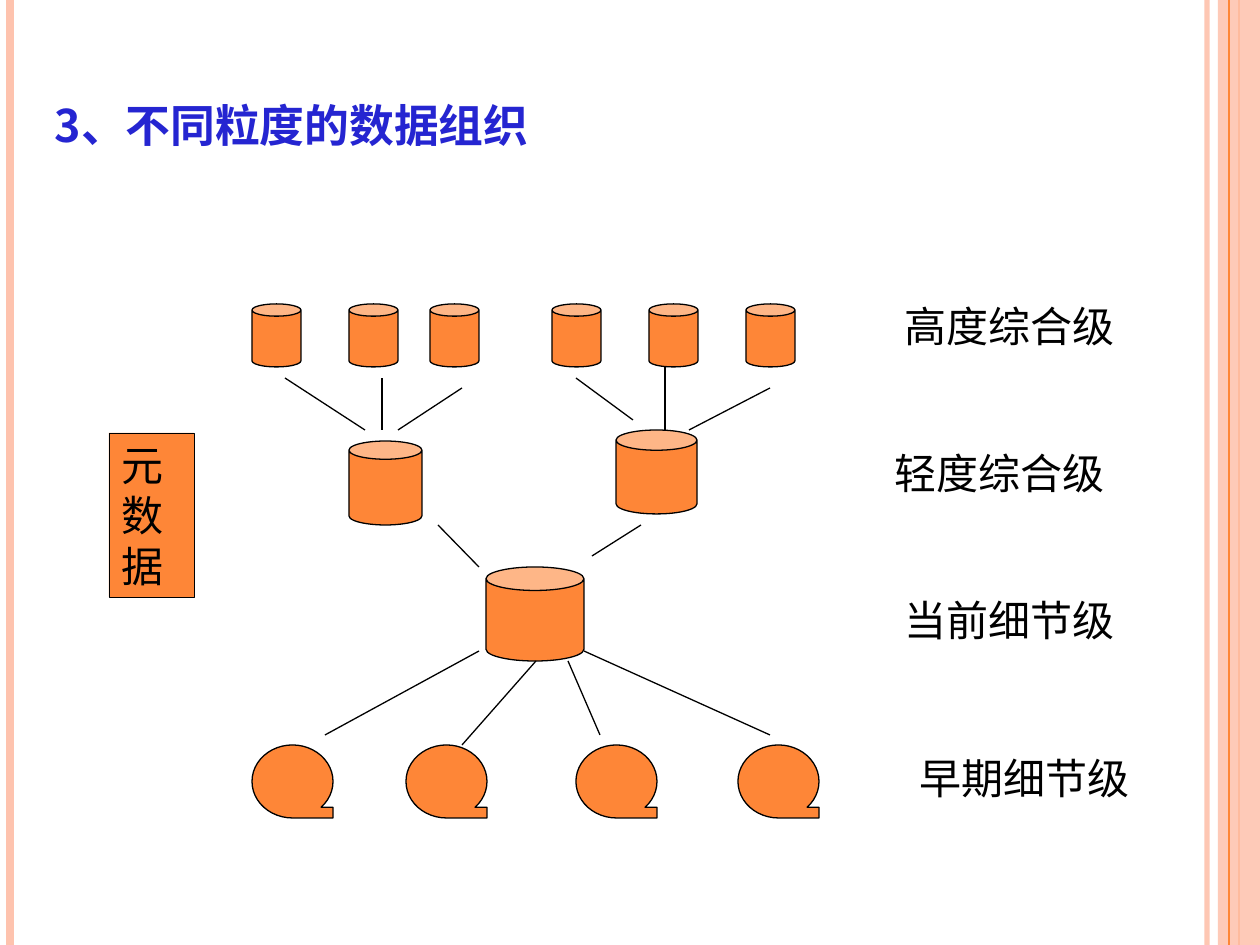
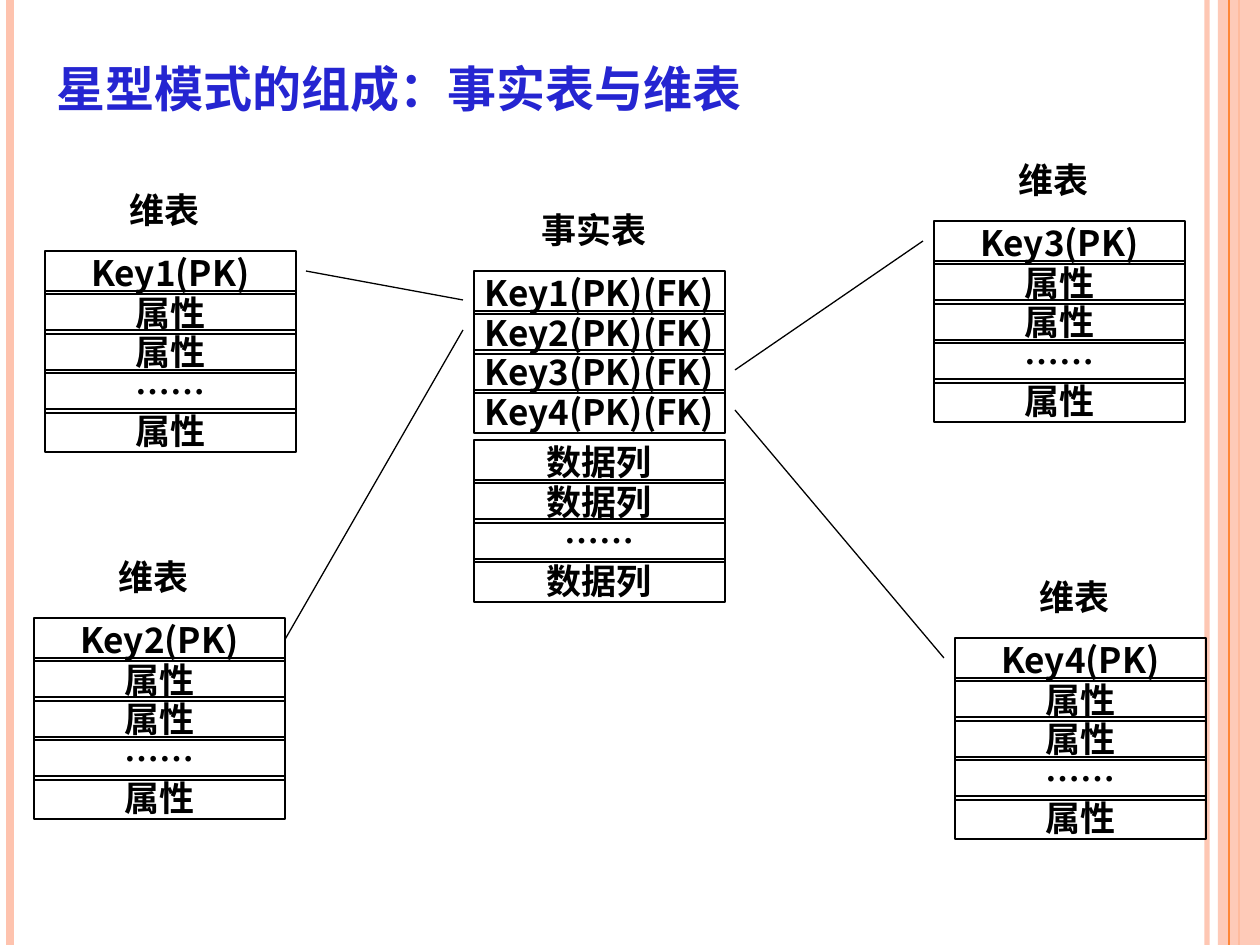
from lxml.etree import SubElement
from pptx import Presentation
from pptx.dml.color import RGBColor
from pptx.enum.shapes import MSO_CONNECTOR, MSO_SHAPE
from pptx.enum.text import MSO_ANCHOR, MSO_AUTO_SIZE, PP_ALIGN
from pptx.oxml.ns import qn
from pptx.util import Pt

EMU_PER_PX = 914400 / 126
WIDTH, HEIGHT = 1260, 945
FONT = "Noto Sans CJK SC"
BLACK, BLUE, ORANGE, PEACH = "000000", "2525D1", "FE8637", "FEC3AE"
ROW_W, ROW_H, ROW_PITCH = 251, 43, 39.6


def px(n):
    return round(n * EMU_PER_PX)


def rgb(color):
    return RGBColor.from_string(color)


def set_alpha(fill_parent, percent):
    color = fill_parent.find(".//" + qn("a:srgbClr"))
    SubElement(color, qn("a:alpha")).set("val", str(percent * 1000))


def format_text(sp, text, size, color=BLACK, bold=False, align=PP_ALIGN.LEFT,
                anchor=MSO_ANCHOR.MIDDLE, spacing=None, inset=None):
    tf = sp.text_frame
    tf.word_wrap = True
    tf.auto_size = MSO_AUTO_SIZE.NONE
    tf.vertical_anchor = anchor
    if inset is not None:
        tf.margin_left = tf.margin_right = tf.margin_top = tf.margin_bottom = px(inset)
    p = tf.paragraphs[0]
    p.text = text
    p.alignment = align
    p.space_before = Pt(0)
    p.line_spacing = spacing
    p.font.size = Pt(size)
    p.font.bold = bold
    p.font.color.rgb = rgb(color)
    p.font.name = FONT
    props = p._p.pPr.find(qn("a:defRPr"))
    SubElement(props, qn("a:ea")).set("typeface", FONT)
    return props


def add_box(slide, kind, x, y, w, h, fill=None, line=BLACK, weight=0.75):
    sp = slide.shapes.add_shape(kind, px(x), px(y), px(w), px(h))
    sp.shadow.inherit = False
    if fill:
        sp.fill.solid()
        sp.fill.fore_color.rgb = rgb(fill)
    else:
        sp.fill.background()
    if line:
        sp.line.color.rgb = rgb(line)
        sp.line.width = Pt(weight)
    else:
        sp.line.fill.background()
    return sp


def add_line(slide, x1, y1, x2, y2, color=BLACK, weight=0.75):
    line = slide.shapes.add_connector(MSO_CONNECTOR.STRAIGHT, px(x1), px(y1), px(x2), px(y2))
    line.line.color.rgb = rgb(color)
    line.line.width = Pt(weight)
    SubElement(line._element.spPr, qn("a:effectLst"))
    return line


def add_label(slide, text, x, y, w, h, size, **style):
    sp = slide.shapes.add_textbox(px(x), px(y), px(w), px(h))
    format_text(sp, text, size, **style)


def add_frame(slide):
    """Draw the vertical rules and the band at the slide's sides."""
    inner = add_line(slide, 1207, 0, 1207, HEIGHT, PEACH, 3)
    set_alpha(inner._element.spPr, 93)
    add_line(slide, 10, 0, 10, HEIGHT, PEACH, 4.5)
    add_line(slide, 1239, 0, 1239, HEIGHT, ORANGE, 1.5)
    band = add_box(slide, MSO_SHAPE.RECTANGLE, 1218, 0, WIDTH - 1218, HEIGHT, PEACH, None)
    set_alpha(band._element.spPr, 87)
    add_line(slide, 1229, 0, 1229, HEIGHT, ORANGE)


def new_slide(prs, title, x, y, w, h, size, small_caps=False, **style):
    slide = prs.slides.add_slide(prs.slide_layouts[5])
    add_frame(slide)
    sp = slide.shapes.title
    sp.left, sp.top, sp.width, sp.height = px(x), px(y), px(w), px(h)
    props = format_text(sp, title, size, BLUE, True, **style)
    if small_caps:
        props.set("cap", "small")
    return slide


def add_rows(slide, x, y, texts):
    """Stack bordered rows downwards from y and return them."""
    rows = []
    for i, text in enumerate(texts):
        row = add_box(slide, MSO_SHAPE.RECTANGLE, x, y + round(i * ROW_PITCH), ROW_W, ROW_H)
        format_text(row, text, 20, bold=True, align=PP_ALIGN.CENTER, inset=0)
        rows.append(row)
    return rows


def add_star_table(slide, name, x, y, texts):
    add_label(slide, name, x + 31, y - 69, 178, 54, 20, bold=True, align=PP_ALIGN.CENTER)
    return add_rows(slide, x, y, texts)


def build_granularity(prs):
    slide = new_slide(prs, "3、不同粒度的数据组织", 42, 76, 1092, 89, 32, small_caps=True)
    cans = [(x, 304, 49, 63) for x in (252, 349, 430, 552, 649, 746)]
    cans += [(486, 567, 98, 94), (349, 441, 73, 84), (616, 430, 81, 84)]
    for can in cans:
        add_box(slide, MSO_SHAPE.CAN, *can, ORANGE)
    for x in (252, 406, 576, 738):
        add_box(slide, MSO_SHAPE.FLOWCHART_SEQUENTIAL_ACCESS_STORAGE, x, 745, 81, 73, ORANGE)

    high_to_light = [(285, 378, 365, 430), (382, 378, 382, 430), (462, 388, 398, 430),
                     (576, 378, 633, 420), (665, 367, 665, 430), (770, 388, 689, 430)]
    light_to_current = [(438, 525, 479, 567), (641, 525, 592, 556)]
    current_to_early = [(479, 651, 325, 735), (536, 661, 462, 745),
                        (568, 661, 600, 735), (584, 651, 770, 735)]
    for ends in high_to_light + light_to_current + current_to_early:
        add_line(slide, *ends)

    for level, x, y, w in (("高度综合级", 892, 294, 252), ("轻度综合级", 882, 441, 252),
                           ("当前细节级", 892, 588, 284), ("早期细节级", 907, 746, 242)):
        add_label(slide, level, x, y, w, 63, 24)
    metadata = add_box(slide, MSO_SHAPE.RECTANGLE, 109, 433, 85, 164, ORANGE, weight=0.25)
    format_text(metadata, "元数据", 24, spacing=Pt(28.8))


def build_star_schema(prs):
    slide = new_slide(prs, "星型模式的组成：事实表与维表", 44, 35, 754, 89, 28,
                      anchor=MSO_ANCHOR.TOP, spacing=1.3)
    add_star_table(slide, "事实表", 474, 271, [f"Key{n}(PK)(FK)" for n in range(1, 5)])
    add_rows(slide, 474, 440, ["数据列", "数据列", "……", "数据列"])

    key_rows = {}
    for n, x, y in ((4, 955, 638), (2, 34, 618), (3, 934, 221), (1, 45, 251)):
        rows = add_star_table(slide, "维表", x, y, [f"Key{n}(PK)", "属性", "属性", "……", "属性"])
        key_rows[n] = rows[0]

    add_line(slide, 306, 271, 463, 300)
    add_line(slide, 463, 330, 285, 639).end_connect(key_rows[2], 3)
    add_line(slide, 735, 370, 923, 241)
    add_line(slide, 735, 410, 944, 658)


def main():
    prs = Presentation()
    prs.slide_width, prs.slide_height = px(WIDTH), px(HEIGHT)
    build_granularity(prs)
    build_star_schema(prs)
    prs.save("out.pptx")


if __name__ == "__main__":
    main()
